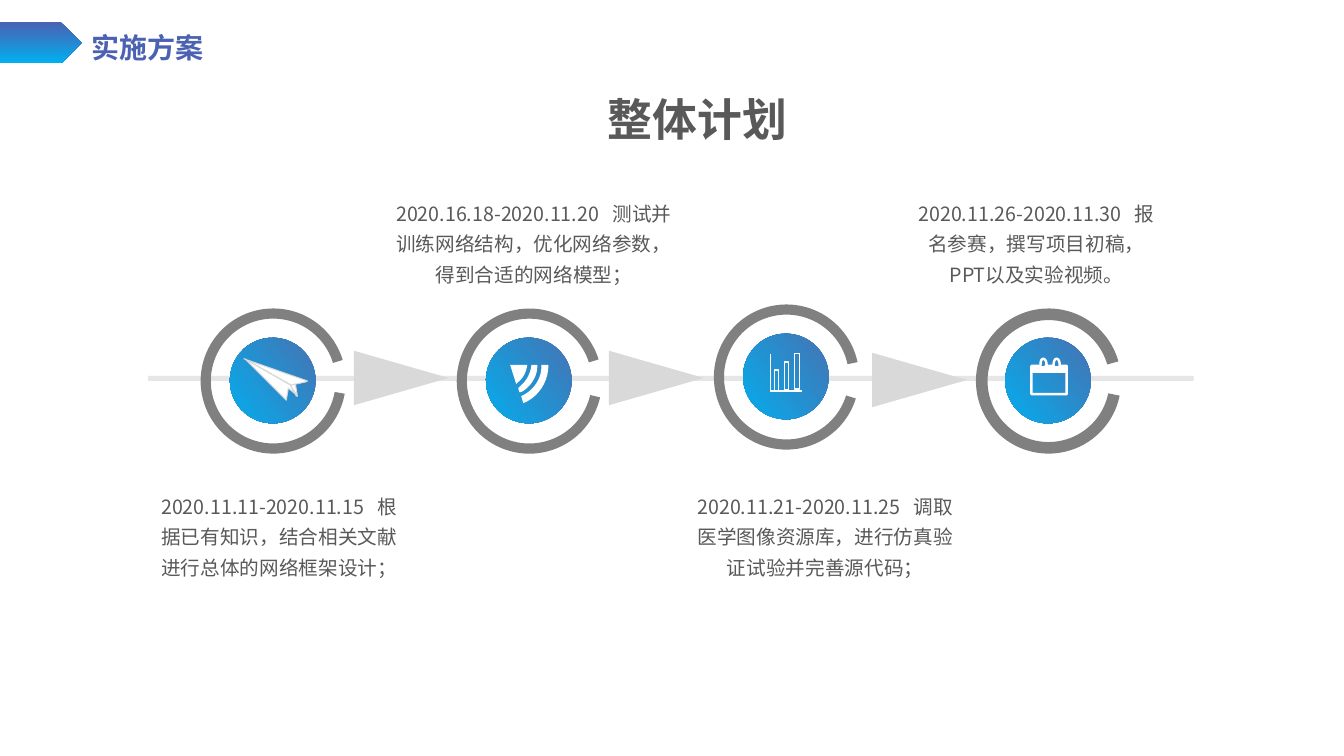
"""Build the timeline slide of the overall plan."""
from dataclasses import dataclass

from lxml.etree import SubElement
from pptx import Presentation
from pptx.dml.color import RGBColor as RGB
from pptx.enum.shapes import MSO_SHAPE as SHAPE
from pptx.enum.text import MSO_ANCHOR as ANCHOR, MSO_AUTO_SIZE as AUTO, PP_ALIGN as ALIGN
from pptx.oxml.ns import qn
from pptx.util import Inches, Pt


@dataclass(frozen=True)
class Theme:
    font: str = "Noto Sans CJK SC"
    section_size: int = 20
    heading_size: int = 32
    caption_size: int = 14
    date_gap: int = 630
    text: str = "595959"
    ring: str = "808080"
    bar: str = "E7E6E6"
    arrow: str = "D9D9D9"
    icon: str = "FFFFFF"
    banner: tuple = ((0, "4B61B2"), (1, "00B0F0"), 270)
    disc: tuple = ((0.03, "4871B1"), (1, "00B0F0"), 225)


def flatten(contour, steps=10):
    points = []
    for part in contour:
        if len(part) == 2:
            points.append(part)
            continue
        a, b, c, d = points[-1], part[:2], part[2:4], part[4:]
        for step in range(1, steps + 1):
            t = step / steps
            u = 1 - t
            points.append(tuple(
                u**3 * a[i] + 3 * u * u * t * b[i] + 3 * u * t * t * c[i] + t**3 * d[i]
                for i in (0, 1)))
    return [(Inches(x), Inches(y)) for x, y in points]


class PlanSlide:
    def __init__(self, slide, theme):
        self.slide, self.theme = slide, theme

    def paint(self, fill, colour):
        if colour is None:
            fill.background()
        elif isinstance(colour, str):
            fill.solid()
            fill.fore_color.rgb = RGB.from_string(colour)
        else:
            *stops, angle = colour
            fill.gradient()
            fill.gradient_angle = angle
            for stop, (position, value) in zip(fill.gradient_stops, stops):
                stop.position = position
                stop.color.rgb = RGB.from_string(value)

    def finish(self, shape, fill, line=None, width=0):
        shape.shadow.inherit = False
        self.paint(shape.fill, fill)
        self.paint(shape.line.fill, line)
        if line:
            shape.line.width = Pt(width)

    def shape(self, kind, box, fill, line=None, width=0, rotation=0, adjust=()):
        shape = self.slide.shapes.add_shape(kind, *map(Inches, box))
        shape.rotation = rotation
        for index, value in enumerate(adjust):
            shape.adjustments[index] = value
        self.finish(shape, fill, line, width)

    def outline(self, contours, fill=None, line=None, width=0, close=True):
        first, *others = map(flatten, contours)
        builder = self.slide.shapes.build_freeform(*first[0], scale=1)
        builder.add_line_segments(first[1:], close=close)
        for points in others:
            builder.move_to(*points[0])
            builder.add_line_segments(points[1:], close=close)
        self.finish(builder.convert_to_shape(), fill, line, width)

    def fill_frame(self, frame, pieces, size, colour, spacing, align, bold=False,
                   anchor=ANCHOR.TOP):
        frame_format = {"word_wrap": True, "auto_size": AUTO.NONE, "vertical_anchor": anchor}
        for name, value in frame_format.items():
            setattr(frame, name, value)
        paragraph = frame.paragraphs[0]
        for name, value in {"alignment": align, "line_spacing": spacing}.items():
            setattr(paragraph, name, value)
        for piece in pieces:
            run = paragraph.add_run()
            run.text = piece
            self.paint(run.font.fill, colour)
            for name, value in {"size": Pt(size), "bold": bold, "name": self.theme.font}.items():
                setattr(run.font, name, value)
            properties = run._r.get_or_add_rPr()
            SubElement(properties, qn("a:ea")).set("typeface", self.theme.font)
            if piece == " ":
                properties.set("spc", str(self.theme.date_gap))

    def section(self, text, box):
        title = self.slide.shapes.title
        for name, value in zip(("left", "top", "width", "height"), box):
            setattr(title, name, Inches(value))
        self.fill_frame(title.text_frame, [text], self.theme.section_size, self.theme.banner,
                        0.9, ALIGN.LEFT, True, ANCHOR.MIDDLE)

    def text(self, pieces, box, size, spacing, bold=False):
        frame = self.slide.shapes.add_textbox(*map(Inches, box)).text_frame
        self.fill_frame(frame, pieces, size, self.theme.text, spacing, ALIGN.CENTER, bold)

    def stage(self, left, top, turn, arc, caption_box, date, task):
        self.shape(SHAPE.BLOCK_ARC, (left, top, 1.44, 1.44), self.theme.ring,
                   rotation=turn, adjust=arc)
        self.shape(SHAPE.OVAL, (left + 0.29, top + 0.29, 0.85, 0.85), self.theme.disc,
                   rotation=turn - 215.7)
        self.text([date, " ", task], caption_box, self.theme.caption_size, 1.3)


STAGES = [
    (1.99, 3.06, 225.7, (86.63, 70.46, 0.07), (1.47, 4.79, 2.6, 1.02),
     "2020.11.11-2020.11.15", "根据已有知识，结合相关文献进行总体的网络框架设计；"),
    (4.53, 3.06, 224.9, (88.81, 70.61, 0.07), (3.81, 1.88, 2.97, 1.02),
     "2020.16.18-2020.11.20", "测试并训练网络结构，优化网络参数，得到合适的网络模型；"),
    (7.08, 3.02, 224.7, (91.49, 74.06, 0.07), (6.78, 4.79, 2.81, 1.02),
     "2020.11.21-2020.11.25", "调取医学图像资源库，进行仿真验证试验并完善源代码；"),
    (9.68, 3.06, 222.2, (89.65, 73.24, 0.08), (8.98, 1.88, 2.6, 1.02),
     "2020.11.26-2020.11.30", "报名参赛，撰写项目初稿，PPT以及实验视频。"),
]
ARROWS = [(3.71, 3.28), (6.24, 3.28), (8.85, 3.3)]
CHART_BARS = [(7.68, 3.67, 0.04, 0.21), (7.78, 3.59, 0.04, 0.28), (7.88, 3.51, 0.05, 0.35)]
CHART_AXES = [[(7.64, 3.51), (7.64, 3.88), (7.95, 3.88)]]
PAPER_PLANE = [[
    (2.42, 3.56), (3.05, 3.78), (3.03, 3.79), (2.89, 3.82), (2.43, 3.56), (2.46, 3.58),
    (2.88, 3.82), (2.94, 3.93), (2.95, 3.93), (2.88, 3.82), (2.89, 3.82), (2.93, 3.81),
    (2.95, 3.93), (2.94, 3.93), (2.93, 3.91), (2.86, 3.85), (2.84, 3.97), (2.43, 3.56)]]
SIGNAL_WAVES = [
    [(5.06, 3.62), (5.23, 3.62), (5.22, 3.69, 5.19, 3.75, 5.14, 3.79), (5.12, 3.81)],
    [(5.37, 3.62), (5.44, 3.62), (5.44, 3.79, 5.34, 3.94, 5.19, 4), (5.17, 3.93),
     (5.19, 3.92), (5.29, 3.87, 5.37, 3.76, 5.37, 3.64)],
    [(5.27, 3.62), (5.33, 3.62), (5.33, 3.63), (5.33, 3.74, 5.26, 3.84, 5.17, 3.89),
     (5.15, 3.89), (5.14, 3.85), (5.16, 3.83), (5.22, 3.78, 5.26, 3.71, 5.27, 3.63)],
]
CALENDAR = [[
    (10.35, 3.56), (10.36, 3.56, 10.38, 3.58, 10.38, 3.62), (10.37, 3.63), (10.45, 3.63),
    (10.45, 3.62), (10.45, 3.59, 10.46, 3.56, 10.48, 3.56),
    (10.5, 3.56, 10.51, 3.59, 10.51, 3.62), (10.51, 3.63), (10.58, 3.63), (10.58, 3.91),
    (10.23, 3.91), (10.23, 3.63), (10.32, 3.63), (10.32, 3.62),
    (10.32, 3.58, 10.33, 3.56, 10.35, 3.56)]]


def main():
    theme = Theme()
    deck = Presentation()
    deck.slide_width, deck.slide_height = Inches(13.33), Inches(7.5)
    plan = PlanSlide(deck.slides.add_slide(deck.slide_layouts[5]), theme)

    plan.section("实施方案", (0.81, 0.29, 3.01, 0.41))
    plan.shape(SHAPE.PENTAGON, (0, 0.22, 0.81, 0.41), theme.banner)
    plan.text(["整体计划"], (5.88, 0.59, 2.08, 1.04), theme.heading_size, 1.5, True)
    plan.shape(SHAPE.RECTANGLE, (1.47, 3.73, 10.37, 0.05), theme.bar)
    for stage in STAGES:
        plan.stage(*stage)
    for left, top in ARROWS:
        plan.shape(SHAPE.ISOSCELES_TRIANGLE, (left, top, 0.54, 0.94), theme.arrow, rotation=90)

    plan.outline(PAPER_PLANE, theme.icon, theme.arrow)
    plan.outline(SIGNAL_WAVES, theme.icon)
    plan.outline(CHART_AXES, line=theme.icon, width=1, close=False)
    for bar in CHART_BARS:
        plan.shape(SHAPE.FLOWCHART_PROCESS, bar, None, theme.icon, 1)
    plan.outline(CALENDAR, line=theme.icon, width=1.75)
    plan.shape(SHAPE.RECTANGLE, (10.24, 3.64, 0.34, 0.05), theme.icon, theme.icon, 1)
    deck.save("out.pptx")


if __name__ == "__main__":
    main()
